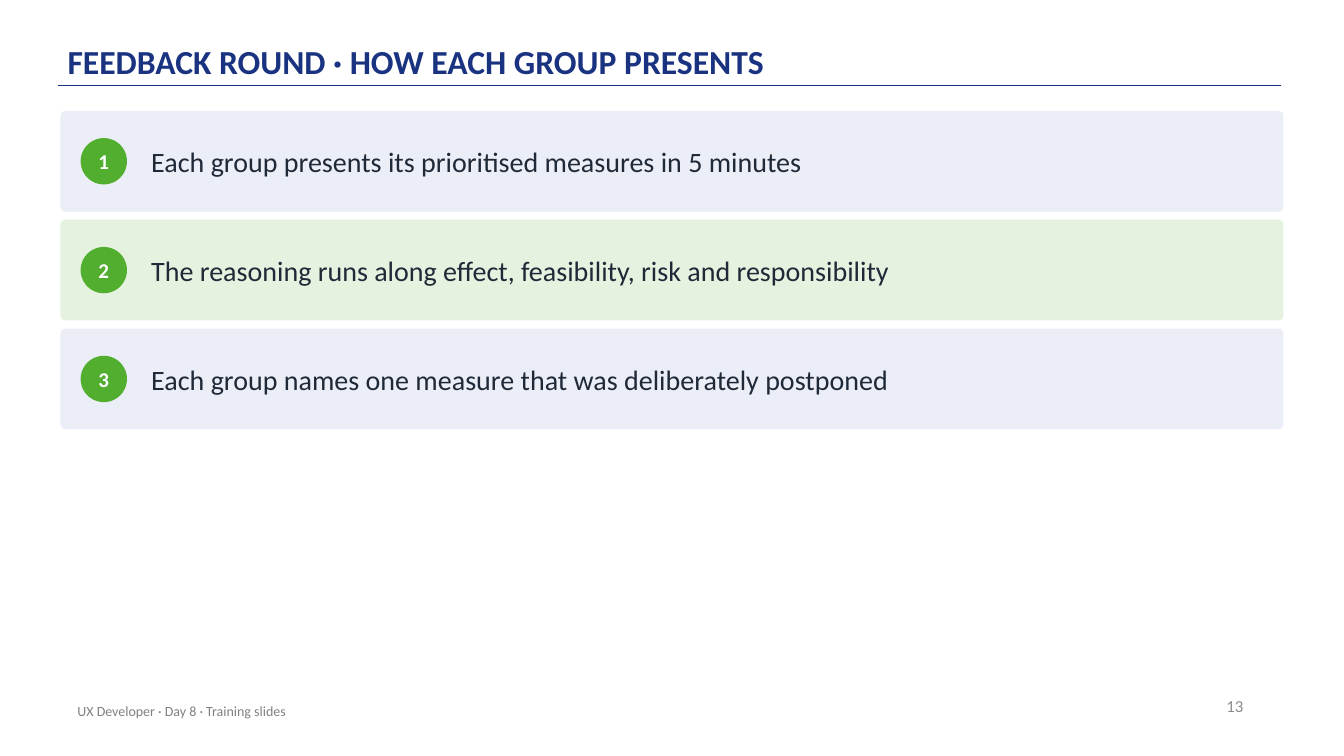
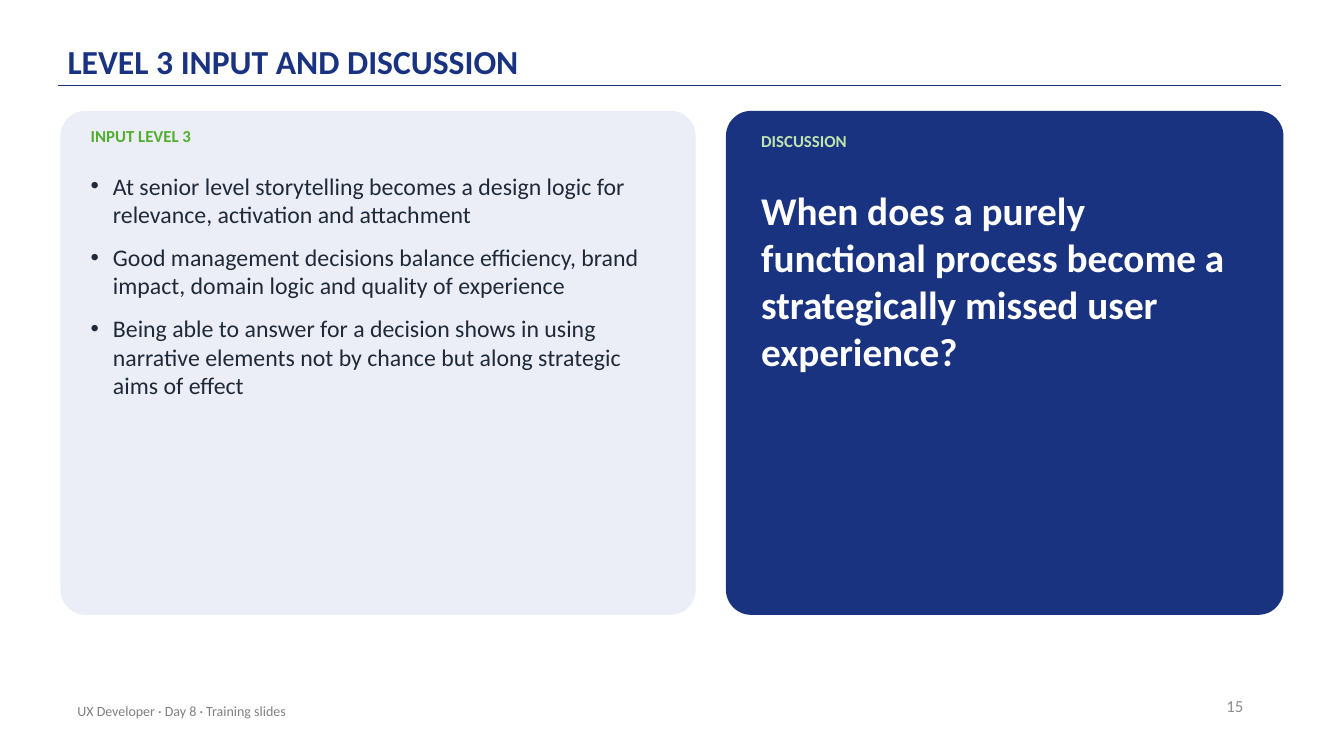
from dataclasses import dataclass

from lxml.etree import SubElement
from pptx import Presentation
from pptx.dml.color import RGBColor
from pptx.enum.shapes import MSO_CONNECTOR, MSO_SHAPE
from pptx.enum.text import MSO_ANCHOR, MSO_AUTO_SIZE, PP_ALIGN
from pptx.oxml.ns import qn
from pptx.util import Pt

FOOTER = "UX Developer · Day 8 · Training slides"
ROUND = {
    "title": "FEEDBACK ROUND · HOW EACH GROUP PRESENTS",
    "page": "13",
    "steps": [
        "Each group presents its prioritised measures in 5 minutes",
        "The reasoning runs along effect, feasibility, risk and responsibility",
        "Each group names one measure that was deliberately postponed",
    ],
}
TALK = {
    "title": "LEVEL 3 INPUT AND DISCUSSION",
    "page": "15",
    "input": "INPUT LEVEL 3",
    "points": [
        "At senior level storytelling becomes a design logic for "
        "relevance, activation and attachment",
        "Good management decisions balance efficiency, brand impact, "
        "domain logic and quality of experience",
        "Being able to answer for a decision shows in using narrative "
        "elements not by chance but along strategic aims of effect",
    ],
    "label": "DISCUSSION",
    "question": "When does a purely functional process become a "
                "strategically missed user experience?",
}


@dataclass(frozen=True)
class Theme:
    font: str = "Calibri"
    navy: str = "1A3381"
    green: str = "51AE2F"
    pale: str = "ECEEF7"
    mint: str = "E5F2DF"
    # Text styles: size, colour, bold
    title: tuple = (24, "1A3381", True)
    page: tuple = (12, "8C8C8C", False)
    footer: tuple = (10, "808080", False)
    badge: tuple = (15, "FFFFFF", True)
    step: tuple = (20, "1F2937", False)
    label: tuple = (12, "51AE2F", True)
    point: tuple = (17, "1F2937", False)
    soft: tuple = (12, "BFE5AE", True)
    quote: tuple = (28, "FFFFFF", True)


THEME = Theme()
PX = 9144  # 100 px to the inch
WIDTH, HEIGHT = 1333, 750
LEFT, TOP, SPAN = 60, 110, 1213
NONE, PAD = (0, 0, 0, 0), (10, 5, 10, 5)


def px(*sizes):
    return [size * PX for size in sizes]


def bullet(para, indent):
    props = para._p.get_or_add_pPr()
    props.set("marL", str(indent * PX))
    props.set("indent", str(-indent * PX))
    SubElement(props, qn("a:buChar"), char="•")


def write(shape, texts, style, inset=NONE, anchor=MSO_ANCHOR.TOP,
          align=PP_ALIGN.LEFT, after=0, lines=None, indent=0):
    frame = shape.text_frame
    frame.word_wrap = True
    frame.auto_size = MSO_AUTO_SIZE.NONE
    frame.vertical_anchor = anchor
    (frame.margin_left, frame.margin_top,
     frame.margin_right, frame.margin_bottom) = px(*inset)
    size, color, bold = style
    for index, text in enumerate(texts):
        para = frame.add_paragraph() if index else frame.paragraphs[0]
        if indent:
            bullet(para, indent)
        para.alignment = align
        para.space_before, para.space_after = Pt(0), Pt(after)
        if lines:
            para.line_spacing = lines
        run = para.add_run()
        run.text = text
        run.font.name, run.font.size, run.font.bold = THEME.font, Pt(size), bold
        run.font.color.rgb = RGBColor.from_string(color)


def label(slide, box, text, style, **format):
    write(slide.shapes.add_textbox(*px(*box)), [text], style, **format)


def panel(slide, kind, box, color):
    shape = slide.shapes.add_shape(kind, *px(*box))
    shape.shadow.inherit = False
    shape.fill.solid()
    shape.fill.fore_color.rgb = RGBColor.from_string(color)
    shape.line.fill.background()
    return shape


def card(slide, box, color):
    panel(slide, MSO_SHAPE.ROUNDED_RECTANGLE, box, color).adjustments[0] = 0.05


def place(shape, box):
    shape.left, shape.top, shape.width, shape.height = px(*box)


def rule(deck, slide):
    """Draw the title rule and hand it to the master for all slides."""
    line = slide.shapes.add_connector(MSO_CONNECTOR.STRAIGHT, *px(1271, 85, 58, 85))
    line.line.color.rgb = RGBColor.from_string(THEME.navy)
    line.line.width = Pt(1)
    SubElement(line.element.spPr, qn("a:effectLst"))
    deck.slide_master.shapes.element.append(line.element)


def start(deck, layout, data):
    """Add a slide with the shared title, page number and footer."""
    slide = deck.slides.add_slide(deck.slide_layouts.get_by_name(layout))
    title = slide.shapes.title
    place(title, (67, 12, 1100, 72))
    write(title, [data["title"]], THEME.title, inset=(0, 3, 0, 3),
          anchor=MSO_ANCHOR.BOTTOM, lines=0.9)
    label(slide, (943, 680, 300, 40), data["page"], THEME.page, inset=PAD,
          anchor=MSO_ANCHOR.MIDDLE, align=PP_ALIGN.RIGHT)
    label(slide, (67, 685, 670, 40), FOOTER, THEME.footer, inset=PAD,
          anchor=MSO_ANCHOR.MIDDLE)
    return slide


def steps(deck, data):
    slide = start(deck, "Title Only", data)
    tall, gap, dot = 100, 8, 46
    for index, text in enumerate(data["steps"]):
        top = TOP + index * (tall + gap)
        card(slide, (LEFT, top, SPAN, tall), THEME.mint if index % 2 else THEME.pale)
        badge = panel(slide, MSO_SHAPE.OVAL,
                      (LEFT + 20, top + (tall - dot) // 2, dot, dot), THEME.green)
        write(badge, [str(index + 1)], THEME.badge,
              anchor=MSO_ANCHOR.MIDDLE, align=PP_ALIGN.CENTER)
        label(slide, (LEFT + 90, top, SPAN - 110, tall), text, THEME.step,
              anchor=MSO_ANCHOR.MIDDLE)
    return slide


def talk(deck, data):
    slide = start(deck, "Title and Content", data)
    wide, gap, tall = 630, 30, 500
    card(slide, (LEFT, TOP, wide, tall), THEME.pale)
    edge = LEFT + 30
    label(slide, (edge, TOP + 15, wide - 60, 35), data["input"], THEME.label, after=6)
    body = slide.placeholders[1]
    place(body, (edge, TOP + 60, wide - 60, 420))
    write(body, data["points"], THEME.point, after=10, indent=22)
    slide.shapes.element.append(body.element)  # in front of its card

    right = LEFT + wide + gap
    rest = SPAN - wide - gap
    card(slide, (right, TOP, rest, tall), THEME.navy)
    edge = right + 35
    label(slide, (edge, TOP + 20, 450, 35), data["label"], THEME.soft, after=6)
    label(slide, (edge, TOP + 75, rest - 70, 400), data["question"], THEME.quote,
          after=6)


def main():
    deck = Presentation()
    deck.slide_width, deck.slide_height = px(WIDTH, HEIGHT)
    rule(deck, steps(deck, ROUND))
    talk(deck, TALK)
    deck.save("out.pptx")


if __name__ == "__main__":
    main()
